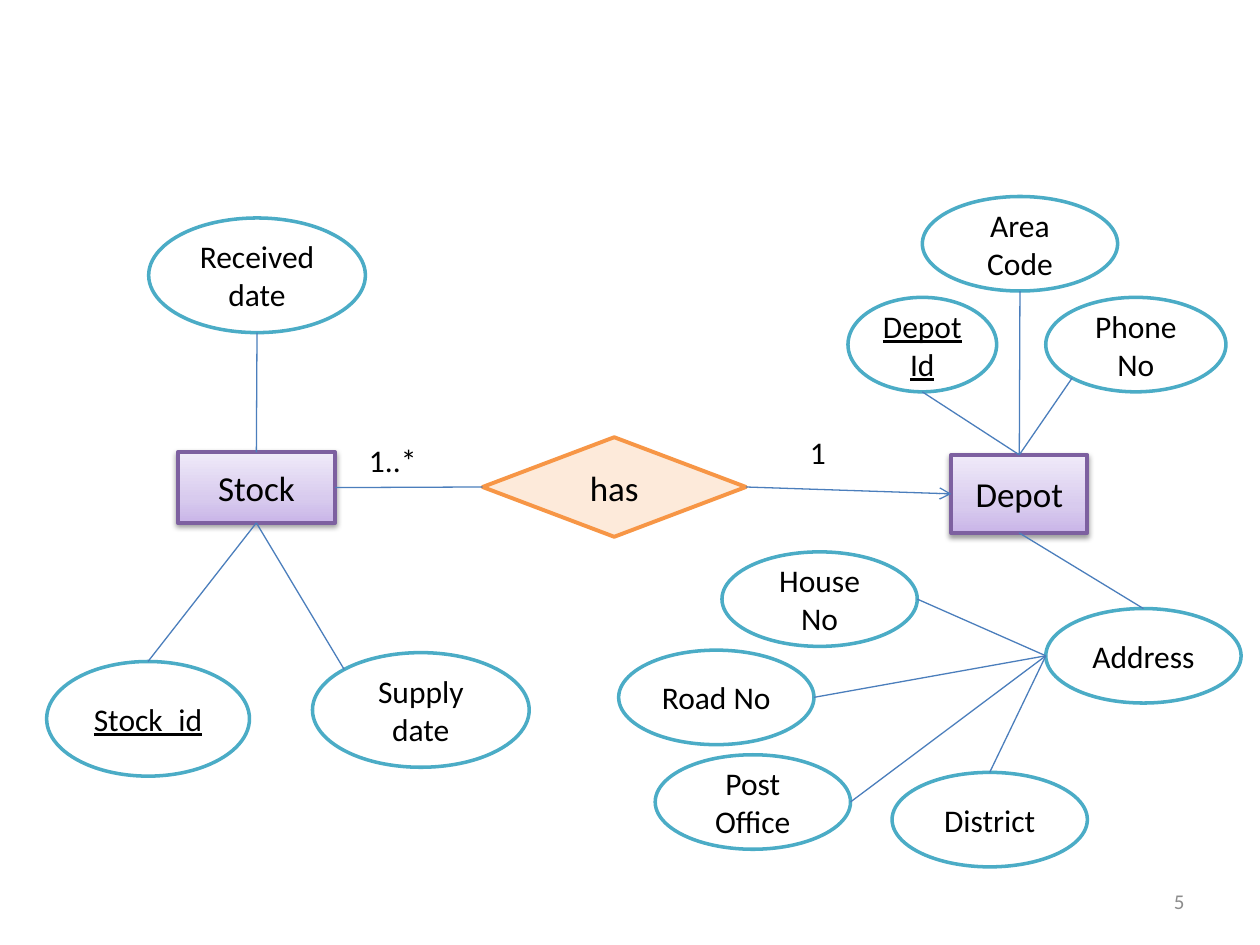
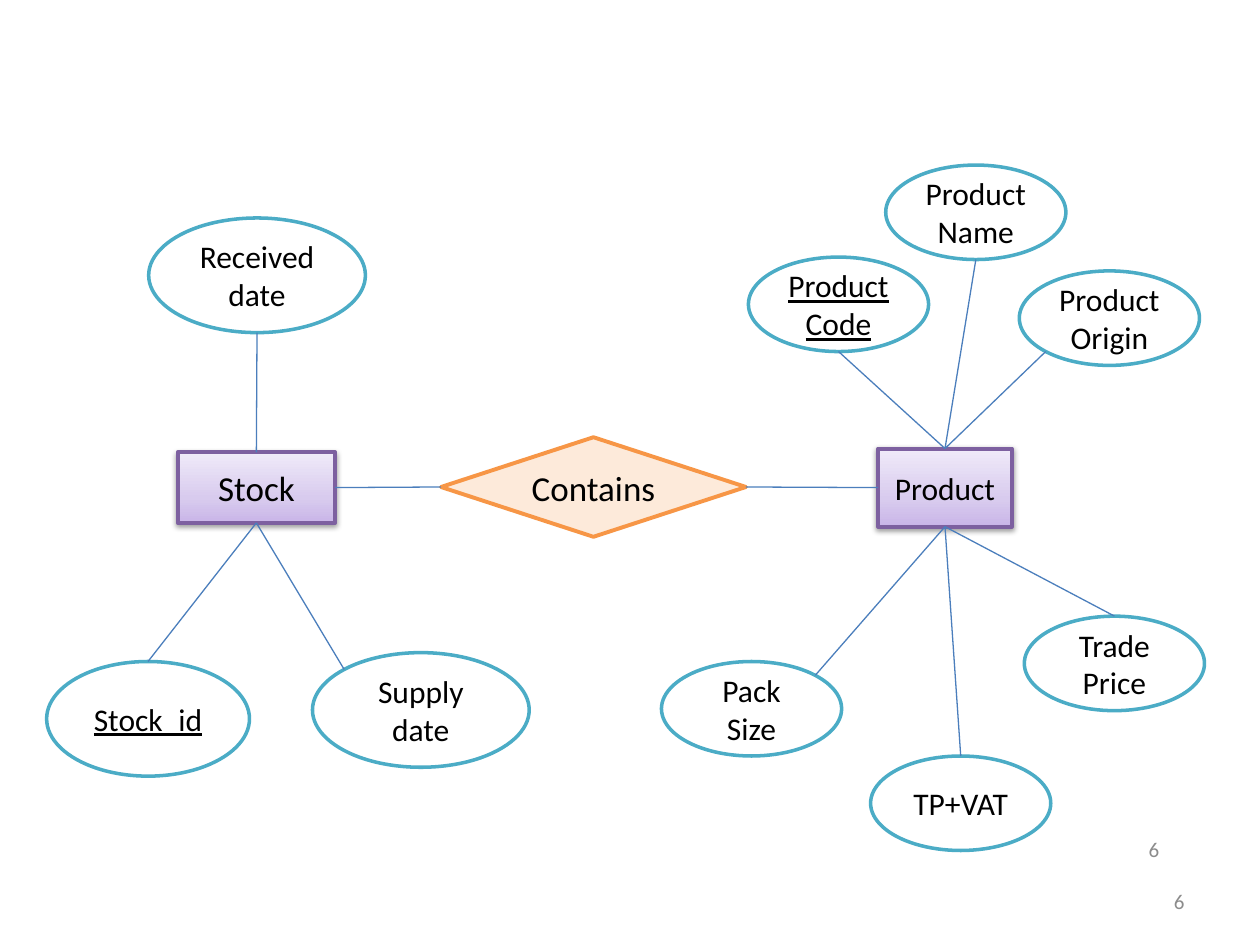
"""Builds two entity-relationship diagram slides on a grid of 100 columns by 75 rows."""
from lxml import etree
from pptx import Presentation
from pptx.dml.color import RGBColor
from pptx.enum.shapes import MSO_CONNECTOR, MSO_SHAPE
from pptx.enum.text import MSO_ANCHOR, PP_ALIGN
from pptx.oxml.ns import qn
from pptx.util import Inches, Pt

COLORS = {
    "text": "000000", "page": "8C8C8C", "link": "4B7EBC", "shadow": "000000",
    "attribute": "FFFFFF", "attribute_line": "4BACC6",
    "relation": "FDEADA", "relation_line": "F79646",
    "entity_line": "7D60A0",
    "entity_low": "C9B5E8", "entity_mid": "D8CBEE", "entity_high": "F0EAF9",
}
RGB = {name: RGBColor.from_string(value) for name, value in COLORS.items()}
FONT = "Calibri"
ENTITY_STOPS = [(0, "entity_low"), (35000, "entity_mid"), (100000, "entity_high")]
KINDS = {
    "entity": (MSO_SHAPE.RECTANGLE, 2.25),
    "relation": (MSO_SHAPE.FLOWCHART_DECISION, 2.25),
    "attribute": (MSO_SHAPE.OVAL, 2),
}
NEAR, FAR = 0.1464, 0.8536
SITES = {
    "top": (0.5, 0), "bottom": (0.5, 1), "left": (0, 0.5), "right": (1, 0.5),
    "top right": (FAR, NEAR), "top left": (NEAR, NEAR), "bottom left": (NEAR, FAR),
}

prs = Presentation()
prs.slide_width, prs.slide_height = Inches(10), Inches(7.5)
COL, ROW = prs.slide_width / 100, prs.slide_height / 75


def write(shape, text, size, color="text", align=PP_ALIGN.CENTER, anchor=MSO_ANCHOR.MIDDLE, underline=False):
    frame = shape.text_frame
    frame.word_wrap = True
    frame.vertical_anchor = anchor
    paragraph = frame.paragraphs[0]
    paragraph.alignment = align
    run = paragraph.add_run()
    run.text = text
    run.font.name, run.font.size = FONT, Pt(size)
    run.font.color.rgb = RGB[color]
    if underline:
        run.font.underline = True


def add_node(slide, kind, label, col, row, cols, rows, size, key):
    preset, weight = KINDS[kind]
    shape = slide.shapes.add_shape(preset, int(col * COL), int(row * ROW), int(cols * COL), int(rows * ROW))
    shape.shadow.inherit = False
    shape.line.color.rgb = RGB[kind + "_line"]
    shape.line.width = Pt(weight)
    if kind == "entity":
        shape.fill.gradient()
        shape.fill.gradient_angle = 90
        properties = shape._element.spPr
        stops = properties.find(".//" + qn("a:gsLst"))
        for stop in list(stops):
            stops.remove(stop)
        for position, color in ENTITY_STOPS:
            stop = etree.SubElement(stops, qn("a:gs"), pos=str(position))
            etree.SubElement(stop, qn("a:srgbClr"), val=COLORS[color])
        shadow = etree.SubElement(properties.find(qn("a:effectLst")), qn("a:outerShdw"),
                                  blurRad=str(Pt(3.1)), dist=str(Pt(1.6)), dir="5400000", rotWithShape="0")
        tint = etree.SubElement(shadow, qn("a:srgbClr"), val=COLORS["shadow"])
        etree.SubElement(tint, qn("a:alpha"), val="38000")
    else:
        shape.fill.solid()
        shape.fill.fore_color.rgb = RGB[kind]
    write(shape, label, size, underline=key)
    return shape


STOCK_ENTITY = ("Stock", 14.1, 35.9, 12.5, 5.6, 20)
STOCK_ATTRIBUTES = [
    ("Received date", 11.8, 17.3, 17.2, 9.1),
    ("Stock_id", 3.7, 52.5, 16.1, 9.1),
    ("Supply date", 24.8, 51.8, 17.2, 9.1),
]
STOCK_LINKS = [
    ("Received date", "bottom", "Stock", "top"),
    ("Stock_id", "top", "Stock", "bottom"),
    ("Supply date", "top left", "Stock", "bottom"),
]
KEYS = {"Stock_id", "Depot Id", "Product Code"}
WIDE, NARROW, TALL = 15.5, 14.3, 7.5

DIAGRAMS = [
    {
        "page": "5",
        "page_spots": [(71.7, 69.5)],
        "relation": ("has", 38.3, 34.7, 20.9, 7.9, 20),
        "entity": ("Depot", 75.5, 36.1, 10.8, 6.2, 20),
        "attributes": [
            ("Depot Id", 67.3, 23.6, 11.8, TALL),
            ("Area Code", 73.2, 15.6, WIDE, TALL),
            ("Phone No", 83, 23.6, NARROW, TALL),
            ("Address", 83, 48.3, WIDE, TALL),
            ("House No", 57.3, 43.8, WIDE, TALL),
            ("Road No", 49.1, 51.6, WIDE, TALL),
            ("District", 70.8, 61.3, WIDE, TALL),
            ("Post Office", 52, 59.9, WIDE, TALL),
        ],
        "links": [
            ("Depot Id", "bottom", "Depot", "top"),
            ("Area Code", "bottom", "Depot", "top"),
            ("Phone No", "bottom left", "Depot", "top"),
            ("Address", "top", "Depot", "bottom"),
            ("House No", "right", "Address", "left"),
            ("Road No", "right", "Address", "left"),
            ("District", "top", "Address", "left"),
            ("Post Office", "right", "Address", "left"),
        ],
        "arrow": True,
        "multiplicities": [("1..*", 28.3, 34.5), ("1", 63.3, 33.9)],
    },
    {
        "page": "6",
        "page_spots": [(71.7, 69.5), (69.7, 65.4)],
        "relation": ("Contains", 35, 34.7, 24.2, 7.9, 20),
        "entity": ("Product", 69.7, 35.6, 10.6, 6.2, 18),
        "attributes": [
            ("Product Code", 59.4, 20.4, NARROW, TALL),
            ("Product Name", 70.3, 13.1, NARROW, TALL),
            ("Product Origin", 80.9, 21.5, NARROW, TALL),
            ("Pack Size", 52.5, 52.5, NARROW, TALL),
            ("Trade Price", 81.3, 48.9, NARROW, TALL),
            ("TP+VAT", 69.1, 60, NARROW, TALL),
        ],
        "links": [
            ("Product Code", "bottom", "Product", "top"),
            ("Product Name", "bottom", "Product", "top"),
            ("Product Origin", "bottom left", "Product", "top"),
            ("Trade Price", "top", "Product", "bottom"),
            ("TP+VAT", "top", "Product", "bottom"),
            ("Pack Size", "top right", "Product", "bottom"),
        ],
        "arrow": False,
        "multiplicities": [],
    },
]

for diagram in DIAGRAMS:
    slide = prs.slides.add_slide(prs.slide_layouts[6])
    nodes = {}
    relation, entity = diagram["relation"][0], diagram["entity"][0]
    for kind, spec in [("relation", diagram["relation"]), ("entity", STOCK_ENTITY), ("entity", diagram["entity"])]:
        nodes[spec[0]] = add_node(slide, kind, *spec, False)
    for spec in STOCK_ATTRIBUTES + diagram["attributes"]:
        nodes[spec[0]] = add_node(slide, "attribute", *spec, 18, spec[0] in KEYS)

    relation_links = [("Stock", "right", relation, "left"), (relation, "right", entity, "left")]
    for start, start_site, end, end_site in relation_links + STOCK_LINKS + diagram["links"]:
        ends = []
        for name, site in [(start, start_site), (end, end_site)]:
            node, (across, down) = nodes[name], SITES[site]
            ends += [int(node.left + across * node.width), int(node.top + down * node.height)]
        link = slide.shapes.add_connector(MSO_CONNECTOR.STRAIGHT, *ends)
        link.line.color.rgb = RGB["link"]
        link.line.width = Pt(0.75)
        etree.SubElement(link._element.spPr, qn("a:effectLst"))
        if diagram["arrow"] and start == relation:
            etree.SubElement(link.line._get_or_add_ln(), qn("a:tailEnd"), type="arrow")

    for label, col, row in diagram["multiplicities"]:
        box = slide.shapes.add_textbox(int(col * COL), int(row * ROW), int(6.7 * COL), int(4 * ROW))
        write(box, label, 18, align=PP_ALIGN.LEFT, anchor=MSO_ANCHOR.TOP)
    for col, row in diagram["page_spots"]:
        box = slide.shapes.add_textbox(int(col * COL), int(row * ROW), int(23.3 * COL), int(4 * ROW))
        write(box, diagram["page"], 12, color="page", align=PP_ALIGN.RIGHT)

prs.save("out.pptx")
